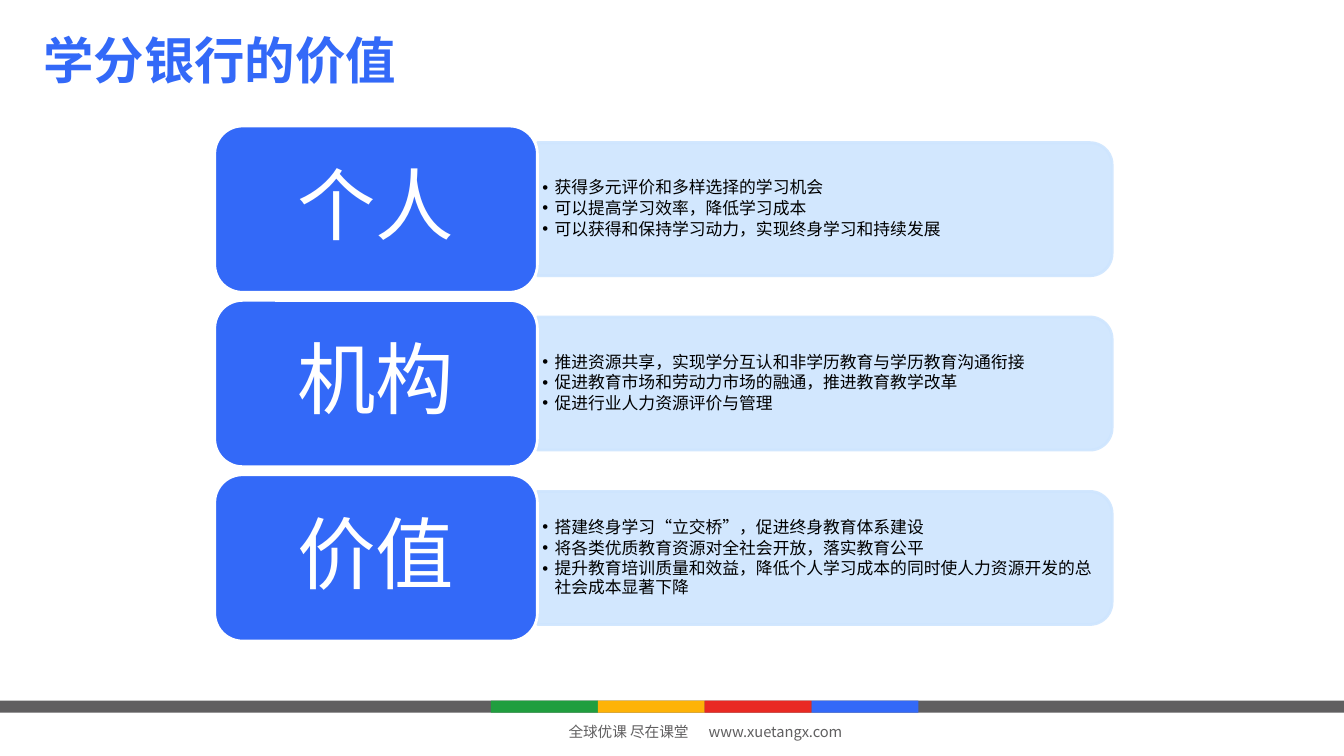
"""Build the slide on the value of the credit bank: three themes, each with its list."""
from lxml import etree
from pptx import Presentation
from pptx.dml.color import RGBColor
from pptx.enum.shapes import MSO_SHAPE
from pptx.enum.text import MSO_ANCHOR, MSO_AUTO_SIZE, PP_ALIGN
from pptx.oxml.ns import qn
from pptx.util import Inches, Pt

RECT, ROUNDED, TAB_SHAPE = MSO_SHAPE.RECTANGLE, MSO_SHAPE.ROUNDED_RECTANGLE, MSO_SHAPE.ROUND_2_SAME_RECTANGLE
TOP, MIDDLE = MSO_ANCHOR.TOP, MSO_ANCHOR.MIDDLE
LEFT, CENTER = PP_ALIGN.LEFT, PP_ALIGN.CENTER
FIXED = MSO_AUTO_SIZE.NONE

COLORS = {"blue": "3369F8", "red": "E92923", "yellow": "FEB307", "green": "209E3F",
          "gray": "605F60", "pale": "CEE5FE", "white": "FFFFFF", "black": "000000"}
CJK_FONT, LATIN_FONT = "Noto Sans CJK SC", "Calibri"

THEMES = [
    ("个人", ["获得多元评价和多样选择的学习机会",
            "可以提高学习效率，降低学习成本",
            "可以获得和保持学习动力，实现终身学习和持续发展"]),
    ("机构", ["推进资源共享，实现学分互认和非学历教育与学历教育沟通衔接",
            "促进教育市场和劳动力市场的融通，推进教育教学改革",
            "促进行业人力资源评价与管理"]),
    ("价值", ["搭建终身学习“立交桥”，促进终身教育体系建设",
            "将各类优质教育资源对全社会开放，落实教育公平",
            "提升教育培训质量和效益，降低个人学习成本的同时使人力资源开发的总社会成本显著下降"]),
]

WIDTH, HEIGHT = Inches(13.33), Inches(7.5)
TILE_LEFT, TILE_WIDTH, TILE_HEIGHT = Inches(2.13), Inches(3.2), Inches(1.65)
FIRST_ROW, ROW_PITCH = Inches(1.25), Inches(1.73)
PANEL_LEFT, PANEL_WIDTH, PANEL_HEIGHT = TILE_LEFT + TILE_WIDTH, Inches(5.7), TILE_HEIGHT * 0.8
LIST_WIDTH, LIST_HEIGHT = Inches(5.63), Inches(1.19)
BAR_TOP, BAR_HEIGHT = Inches(6.95), Inches(0.12)
BAND_LEFT, BAND_WIDTH = Inches(4.87), Inches(1.06)


def add_block(kind, left, top, width, height, color, edge=None):
    block = slide.shapes.add_shape(kind, round(left), round(top), round(width), round(height))
    block.shadow.inherit = False
    block.fill.solid()
    block.fill.fore_color.rgb = RGBColor.from_string(COLORS[color])
    if edge:
        block.line.color.rgb = RGBColor.from_string(COLORS[edge])
        block.line.width = Pt(2)
    else:
        block.line.fill.background()
    return block


def style(paragraph, size, color, latin, bold=False):
    for run in paragraph.runs:
        run.font.size = Pt(size)
        run.font.bold = bold
        run.font.color.rgb = RGBColor.from_string(COLORS[color])
        run.font.name = latin
        etree.SubElement(run.font._element, qn("a:ea"), typeface=CJK_FONT)


prs = Presentation()
prs.slide_width, prs.slide_height = WIDTH, HEIGHT
slide = prs.slides.add_slide(prs.slide_layouts[4])
title, *lists, spare = slide.placeholders
spare.element.getparent().remove(spare.element)

add_block(RECT, 0, BAR_TOP, WIDTH, BAR_HEIGHT, "gray")
for column, color in enumerate(["green", "yellow", "red", "blue"]):
    add_block(RECT, BAND_LEFT + column * BAND_WIDTH, BAR_TOP, BAND_WIDTH, BAR_HEIGHT, color)

footer = slide.shapes.add_textbox(Inches(5.54), Inches(7.12), Inches(3.01), Inches(0.28))
footer.text_frame.word_wrap = True
slogan = footer.text_frame.paragraphs[0]
slogan.text = "全球优课 尽在课堂\twww.xuetangx.com"
tab_stops = etree.SubElement(slogan._p.get_or_add_pPr(), qn("a:tabLst"))
etree.SubElement(tab_stops, qn("a:tab"), pos=str(Inches(1.39)), algn="l")
style(slogan, 10.5, "gray", CJK_FONT)

title.left, title.top, title.width, title.height = Inches(0.33), Inches(0.24), Inches(5.62), Inches(0.71)
title.text_frame.text = "学分银行的价值"
title.text_frame.vertical_anchor = TOP
title.text_frame.auto_size = FIXED
title.text_frame.paragraphs[0].alignment = LEFT
style(title.text_frame.paragraphs[0], 36, "blue", CJK_FONT, bold=True)

for row, ((theme, points), body) in enumerate(zip(THEMES, lists)):
    row_top = FIRST_ROW + row * ROW_PITCH
    row_middle = row_top + TILE_HEIGHT / 2

    panel = add_block(TAB_SHAPE, PANEL_LEFT + (PANEL_WIDTH - PANEL_HEIGHT) / 2, row_middle - PANEL_WIDTH / 2,
                      PANEL_HEIGHT, PANEL_WIDTH, "pale", "pale")
    panel.rotation = 90
    for tint in panel.element.spPr.iter(qn("a:srgbClr")):
        etree.SubElement(tint, qn("a:alpha"), val="90000")

    tile = add_block(ROUNDED, TILE_LEFT, row_top, TILE_WIDTH, TILE_HEIGHT, "blue", "white")
    tile.text_frame.text = theme
    tile.text_frame.vertical_anchor = MIDDLE
    heading = tile.text_frame.paragraphs[0]
    heading.alignment = CENTER
    heading.line_spacing = 0.9
    style(heading, 56, "white", LATIN_FONT)

    body.left, body.top = PANEL_LEFT, round(row_middle - LIST_HEIGHT / 2)
    body.width, body.height = LIST_WIDTH, LIST_HEIGHT
    slide.shapes.element.append(body.element)
    frame = body.text_frame
    frame.text = "\n".join(points)
    frame.auto_size = FIXED
    frame.vertical_anchor = MIDDLE
    frame.margin_left = frame.margin_right = Inches(0.05)
    frame.margin_top = frame.margin_bottom = Inches(0.03)
    for point in frame.paragraphs:
        properties = point._p.get_or_add_pPr()
        properties.set("marL", str(Inches(0.12)))
        properties.set("indent", str(-Inches(0.12)))
        etree.SubElement(properties, qn("a:buFont"), typeface="Arial")
        etree.SubElement(properties, qn("a:buChar"), char="•")
        point.alignment = LEFT
        point.line_spacing = 0.9
        point.space_before = Pt(0)
        point.space_after = Pt(1.8)
        style(point, 12, "black", LATIN_FONT)

prs.save("out.pptx")
